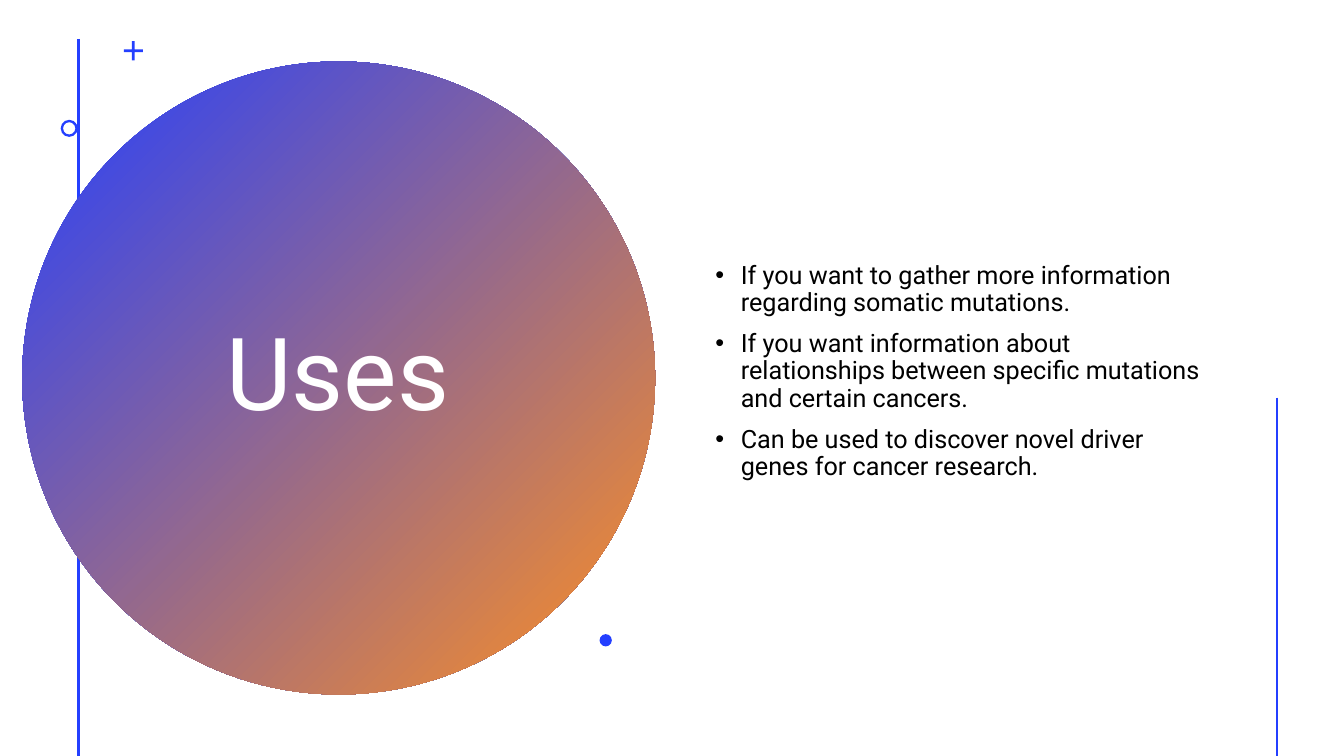
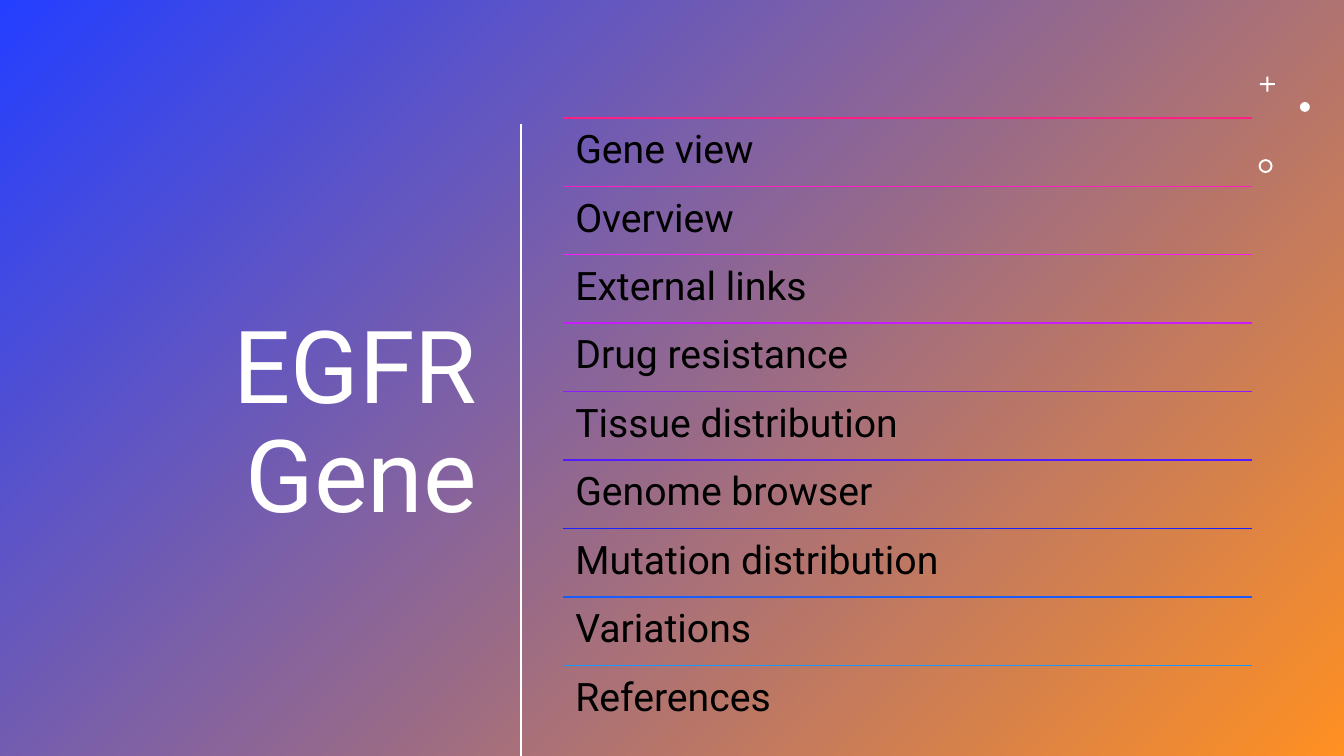
from lxml import etree
from pptx import Presentation
from pptx import util as u
from pptx.dml.color import RGBColor
from pptx.enum import shapes, text
from pptx.oxml.ns import qn

COLORS = {"blue": "243FFF", "orange": "FF9022", "white": "FFFFFF", "black": "000000"}
FONT = "Roboto"
SHAPE = shapes.MSO_SHAPE
ALIGN = text.PP_ALIGN
WIDTH, HEIGHT = 33.87, 19.05


def add_line(s, x1, y1, x2, y2, color, weight):
    ln = s.shapes.add_connector(
        shapes.MSO_CONNECTOR.STRAIGHT, u.Cm(x1), u.Cm(y1), u.Cm(x2), u.Cm(y2))
    ln.line.color.rgb = RGBColor.from_string(color)
    ln.line.width = u.Pt(weight)
    etree.SubElement(ln._element.spPr, qn("a:effectLst"))


def add_text(s, box, lines, size, color, align=ALIGN.LEFT, anchor=text.MSO_ANCHOR.MIDDLE):
    """Add a wrapped text box with one paragraph per line and return its frame."""
    tf = s.shapes.add_textbox(*map(u.Cm, box)).text_frame
    tf.word_wrap = True
    tf.vertical_anchor = anchor
    tf.text = "\n".join(lines)
    for p in tf.paragraphs:
        p.alignment = align
        p.line_spacing = 0.9
        for r in p.runs:
            r.font.name = FONT
            r.font.size = u.Pt(size)
            r.font.color.rgb = RGBColor.from_string(color)
    return tf


prs = Presentation()
prs.slide_width, prs.slide_height = u.Cm(WIDTH), u.Cm(HEIGHT)

# Boxes are (left, top, width, height); marks are (preset, left, top, size);
# rules are (x, top) and run down to the bottom edge.
LAYOUTS = [
    {"title": "Uses", "title_box": (3.45, 3.58, 10.13, 11.86), "align": ALIGN.CENTER,
     "panel": SHAPE.OVAL, "panel_box": (0.56, 1.55, 15.95, 15.95),
     "accent": COLORS["blue"], "rules_below": [(1.98, 0.98)], "rules_above": [(32.18, 10.02)],
     "marks": [(SHAPE.CROSS, 3.12, 1.04, 0.48), (SHAPE.DONUT, 1.53, 3.02, 0.43),
               (SHAPE.OVAL, 15.11, 15.98, 0.31)]},
    {"title": "EGFR Gene", "title_box": (1.32, 2.95, 10.95, 15.52), "align": ALIGN.RIGHT,
     "panel": SHAPE.RECTANGLE, "panel_box": (0, 0, WIDTH, HEIGHT),
     "accent": COLORS["white"], "rules_below": [], "rules_above": [(13.13, 3.12)],
     "marks": [(SHAPE.CROSS, 31.75, 1.93, 0.38), (SHAPE.OVAL, 32.76, 2.57, 0.25),
               (SHAPE.DONUT, 31.72, 4.01, 0.35)]},
]

for layout in LAYOUTS:
    s = prs.slides.add_slide(prs.slide_layouts[6])
    for x, top in layout["rules_below"]:
        add_line(s, x, top, x, HEIGHT, layout["accent"], 2)

    panel = s.shapes.add_shape(layout["panel"], *map(u.Cm, layout["panel_box"]))
    panel.shadow.inherit = False
    panel.line.fill.background()
    panel.fill.gradient()
    panel.fill.gradient_angle = 315
    for stop, name in zip(panel.fill.gradient_stops, ("blue", "orange")):
        stop.color.rgb = RGBColor.from_string(COLORS[name])

    add_text(s, layout["title_box"], [layout["title"]], 72, COLORS["white"], layout["align"])

    for kind, x, y, size in layout["marks"]:
        mark = s.shapes.add_shape(kind, u.Cm(x), u.Cm(y), u.Cm(size), u.Cm(size))
        mark.shadow.inherit = False
        mark.line.fill.background()
        mark.fill.solid()
        mark.fill.fore_color.rgb = RGBColor.from_string(layout["accent"])
        if kind != SHAPE.OVAL:
            mark.adjustments[0] = 0.43 if kind == SHAPE.CROSS else 0.14

    for x, top in layout["rules_above"]:
        add_line(s, x, top, x, HEIGHT, layout["accent"], 2)

uses_slide, gene_slide = prs.slides

# Uses: bulleted list
USES = [
    "If you want to gather more information regarding somatic mutations.",
    "If you want information about relationships between specific mutations and certain cancers.",
    "Can be used to discover novel driver genes for cancer research.",
]
tf = add_text(uses_slide, (17.78, 1.07, 13, 16.59), USES, 18, COLORS["black"])
for i, p in enumerate(tf.paragraphs):
    p.space_before = u.Pt(10 if i else 0)
    pPr = p._p.get_or_add_pPr()
    pPr.set("marL", str(u.Cm(0.64)))
    pPr.set("indent", str(-u.Cm(0.64)))
    etree.SubElement(pPr, qn("a:buFont"), typeface="Arial")
    etree.SubElement(pPr, qn("a:buChar"), char="•")

# EGFR Gene: ruled list
TOPICS = [
    ("Gene view", "FF1F85"),
    ("Overview", "FF1EBF"),
    ("External links", "FF1EFA"),
    ("Drug resistance", "C91DFF"),
    ("Tissue distribution", "8D1DFF"),
    ("Genome browser", "511CFF"),
    ("Mutation distribution", "1B21FF"),
    ("Variations", "1B5CFF"),
    ("References", "1A98FF"),
]
LIST_X, LIST_Y, LIST_W, LIST_H = 14.2, 2.97, 17.34, 15.52
row_h = LIST_H / len(TOPICS)
for i, (topic, color) in enumerate(TOPICS):
    y = LIST_Y + i * row_h
    add_line(gene_slide, LIST_X, y, LIST_X + LIST_W, y, color, 1)
    tf = add_text(gene_slide, (LIST_X, y, LIST_W, row_h), [topic], 28, COLORS["black"],
                  anchor=text.MSO_ANCHOR.TOP)
    tf.margin_left = tf.margin_right = tf.margin_top = tf.margin_bottom = u.Cm(0.3)

prs.save("out.pptx")
